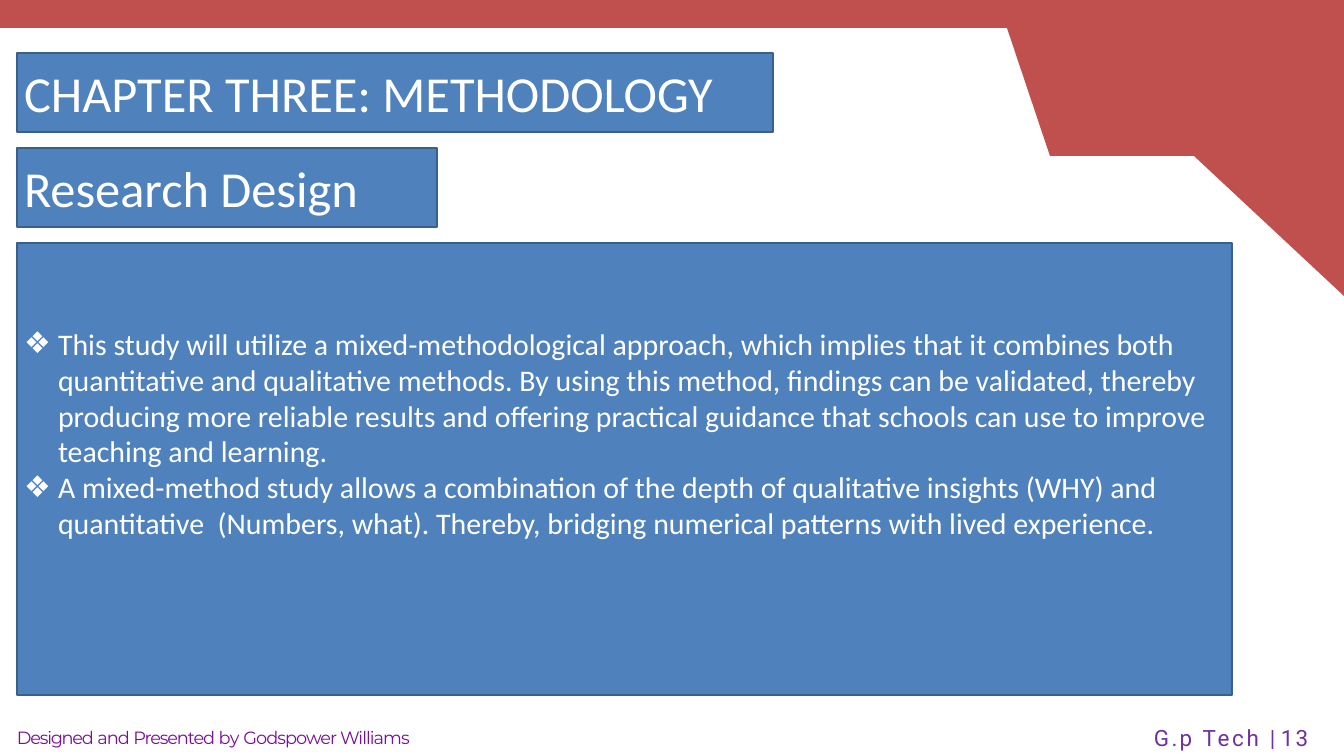
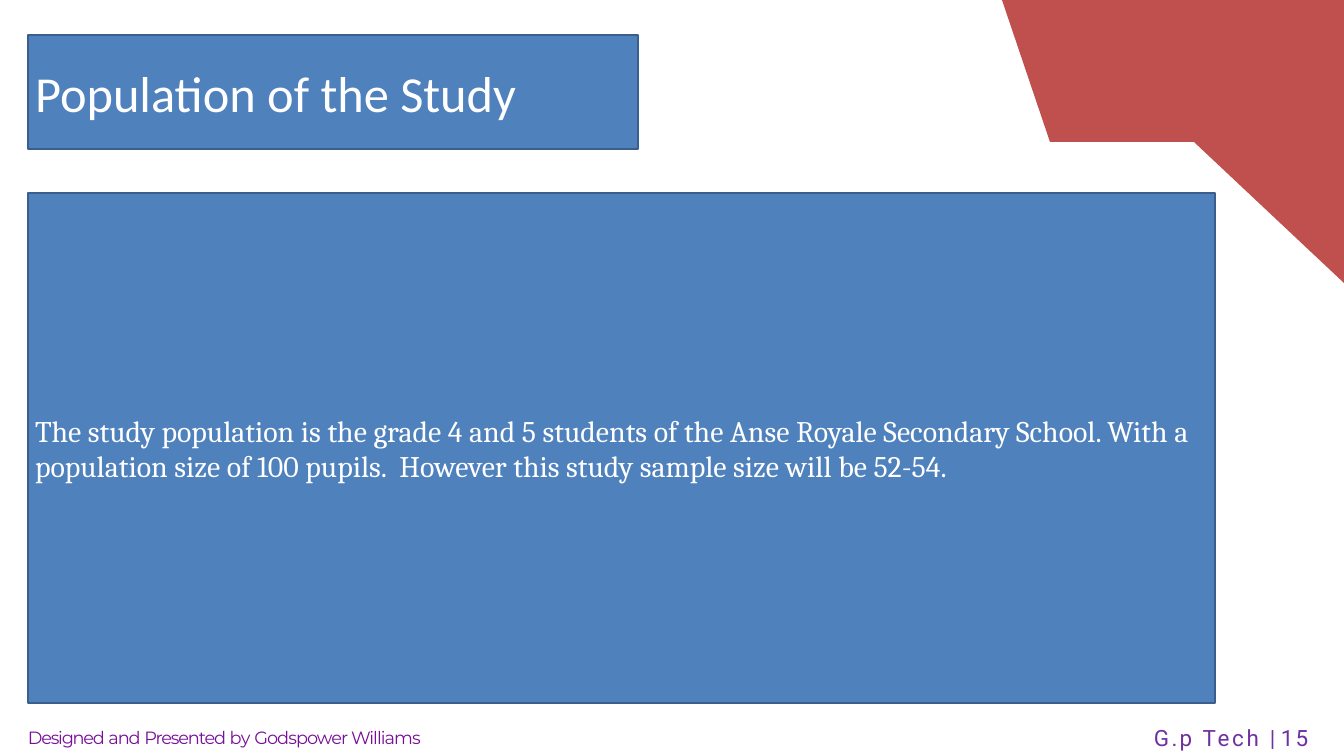
from dataclasses import dataclass
from lxml.etree import SubElement
from pptx import Presentation
from pptx.dml.color import RGBColor
from pptx.enum.shapes import MSO_SHAPE as Preset
from pptx.enum.text import MSO_ANCHOR as Anchor, MSO_AUTO_SIZE as AutoSize, PP_ALIGN as Align
from pptx.oxml.ns import qn
from pptx.util import Pt


@dataclass(frozen=True)
class Theme:
    accent: RGBColor = RGBColor(0xC0, 0x50, 0x4D)
    panel: RGBColor = RGBColor(0x4F, 0x81, 0xBD)
    outline: RGBColor = RGBColor(0x3A, 0x5F, 0x8C)
    text: RGBColor = RGBColor(0xFF, 0xFF, 0xFF)
    number: RGBColor = RGBColor(0x70, 0x31, 0xA0)
    credit: RGBColor = RGBColor(0x78, 0x0F, 0x99)
    heading_size: int = 54
    body_size: int = 32
    number_size: int = 24
    credit_size: int = 19


theme = Theme()
WIDTH, HEIGHT = 1344, 756
SCALE = 18288000 / WIDTH


def px(value):
    return round(value * SCALE)


def write(shape, paragraphs, *, box, size, color, font="Calibri", bullet=None,
          anchor=Anchor.MIDDLE, insets=(7, 3, 7, 3), leading=None, filled=True):
    shape.left, shape.top, shape.width, shape.height = map(px, box)
    if filled:
        shape.shadow.inherit = False
        shape.fill.solid()
        shape.fill.fore_color.rgb = theme.panel
        shape.line.color.rgb = theme.outline
        shape.line.width = Pt(2)
    frame = shape.text_frame
    frame.word_wrap = True
    frame.auto_size = AutoSize.NONE
    frame.vertical_anchor = anchor
    frame.margin_left, frame.margin_top, frame.margin_right, frame.margin_bottom = map(px, insets)
    for index, pieces in enumerate(paragraphs):
        paragraph = frame.paragraphs[0] if index == 0 else frame.add_paragraph()
        properties = paragraph._p.get_or_add_pPr()
        indent = px(34) if bullet else 0
        properties.set("marL", str(indent))
        properties.set("indent", str(-indent))
        if bullet:
            SubElement(properties, qn("a:buChar")).set("char", bullet)
        else:
            SubElement(properties, qn("a:buNone"))
        paragraph.alignment = Align.LEFT
        paragraph.space_before = Pt(0)
        if leading:
            paragraph.line_spacing = Pt(leading)
        for words, spacing in pieces:
            run = paragraph.add_run()
            run.text = words
            run.font.size = Pt(size)
            run.font.name = font
            run.font.color.rgb = color
            if spacing:
                run._r.get_or_add_rPr().set("spc", str(round(spacing * 100)))


pages = [
    dict(
        number="13",
        margin=17,
        corner=[(WIDTH, 0), (0, 0), (0, 28), (1007, 28), (1050, 156), (1194, 156), (WIDTH, 296)],
        title="CHAPTER THREE: METHODOLOGY",
        title_area=(53, 756, 79),
        subtitle="Research Design",
        subtitle_area=(148, 420, 79),
        body=[
            "This study will utilize a mixed-methodological approach, which implies that it combines both "
            "quantitative and qualitative methods. By using this method, findings can be validated, thereby "
            "producing more reliable results and offering practical guidance that schools can use to improve "
            "teaching and learning.",
            "A mixed-method study allows a combination of the depth of qualitative insights (WHY) and "
            "quantitative  (Numbers, what). Thereby, bridging numerical patterns with lived experience.",
        ],
        body_area=(243, 1215, 452),
        body_style=dict(bullet="❖", insets=(7, 3, 7, 75)),
    ),
    dict(
        number="15",
        margin=28,
        corner=[(WIDTH, 0), (1002, 0), (1050, 142), (1194, 142), (WIDTH, 283)],
        title="Population of the Study",
        title_area=(35, 610, 114),
        subtitle=None,
        body=[
            "The study population is the grade 4 and 5 students of the Anse Royale Secondary School. "
            "With a population size of 100 pupils.  However this study sample size will be 52-54.",
        ],
        body_area=(193, 1187, 510),
        body_style=dict(font="Cambria"),
    ),
]
credit = [("Designed ", -1.3), ("and ", -1.1), ("Presented ", -1.2), ("by ", -0.7),
          ("Godspower Williams", -1)]

deck = Presentation()
deck.slide_width, deck.slide_height = px(WIDTH), px(HEIGHT)

for page in pages:
    slide = deck.slides.add_slide(deck.slide_layouts[1])
    shapes = slide.shapes
    margin = page["margin"]

    outline = shapes.build_freeform(*page["corner"][0], scale=SCALE)
    outline.add_line_segments(page["corner"][1:], close=True)
    corner = outline.convert_to_shape()
    corner.shadow.inherit = False
    corner.fill.solid()
    corner.fill.fore_color.rgb = theme.accent
    corner.line.fill.background()

    page_number = [("G.p ", 2.5), ("Tech ", 2.9), ("| ", 0), (page["number"], 2.2)]
    write(shapes.add_textbox(0, 0, 0, 0), [page_number], box=(1154, 726, 181, 26),
          size=theme.number_size, color=theme.number, font="Roboto", anchor=Anchor.TOP,
          insets=(0, 0, 0, 0), leading=26.9, filled=False)
    write(shapes.add_textbox(0, 0, 0, 0), [credit], box=(margin, 725, 436, 22),
          size=theme.credit_size, color=theme.credit, font="Montserrat", anchor=Anchor.TOP,
          insets=(0, 2, 0, 0), filled=False)

    write(slide.placeholders[1], [[(words, 0)] for words in page["body"]],
          box=(margin, *page["body_area"]), size=theme.body_size, color=theme.text,
          **page["body_style"])
    write(shapes.title, [[(page["title"], 0)]], box=(margin, *page["title_area"]),
          size=theme.heading_size, color=theme.text)
    if page["subtitle"]:
        write(shapes.add_shape(Preset.RECTANGLE, 0, 0, 0, 0), [[(page["subtitle"], 0)]],
              box=(margin, *page["subtitle_area"]), size=theme.heading_size, color=theme.text)

deck.save("out.pptx")
